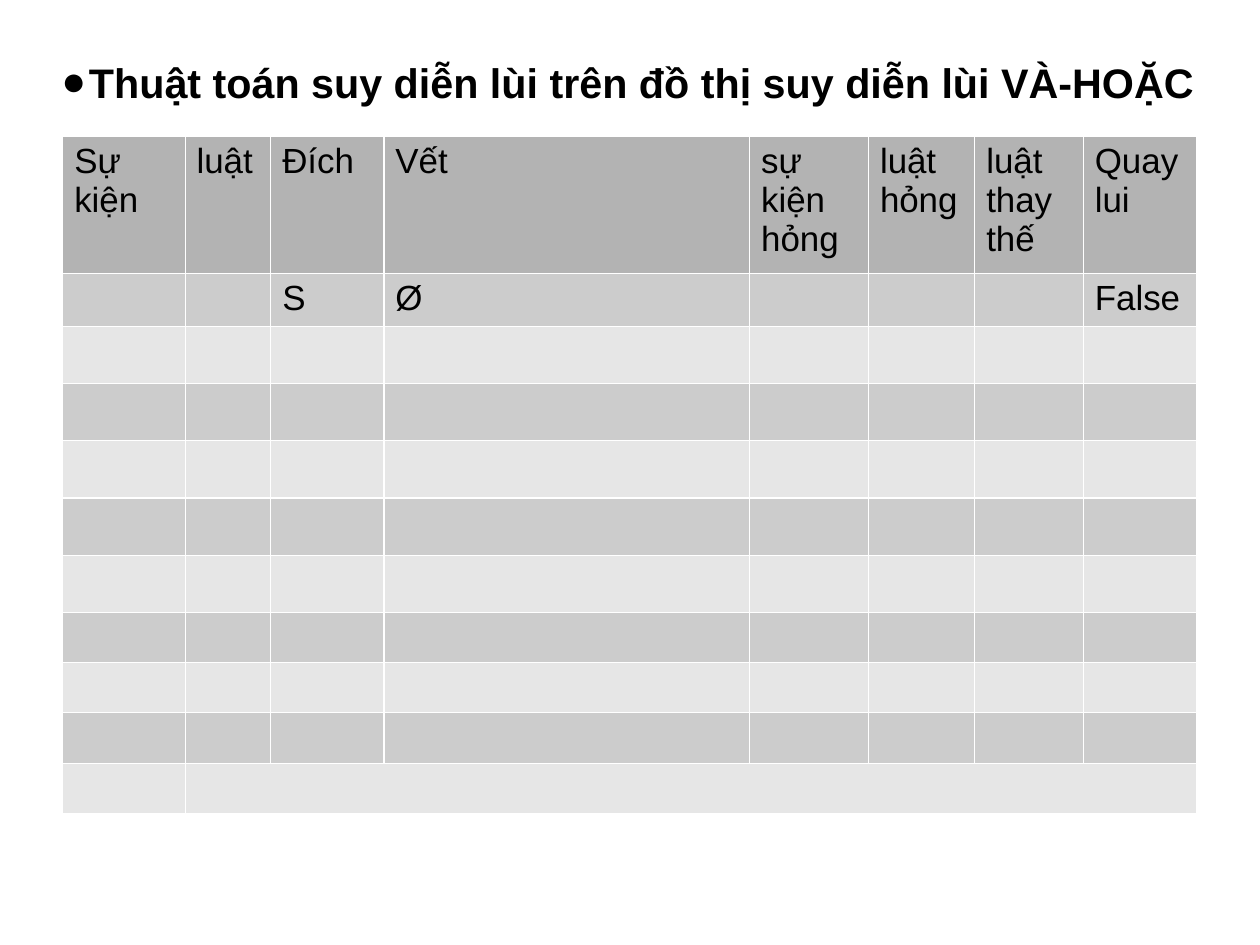
from lxml import etree
from pptx import Presentation
from pptx.dml.color import RGBColor
from pptx.enum.text import MSO_ANCHOR, PP_ALIGN
from pptx.oxml.ns import qn
from pptx.util import Inches, Pt

MID = MSO_ANCHOR.MIDDLE
LEFT, CENTER = PP_ALIGN.LEFT, PP_ALIGN.CENTER
HUES = {"ink": "000000", "head": "B3B3B3", "dark": "CCCCCC",
        "light": "E6E6E6", "rule": "FFFFFF"}
WIDE, HIGH = 28 / 2.54, 21 / 2.54
COLS = [1.07, 0.75, 0.99, 3.2, 1.04, 0.93, 0.95, 0.99]
ROWS = [1.14, 0.46] + [0.5] * 5 + [0.44] * 4
HEADS = ["Sự kiện", "luật", "Đích", "Vết", "sự kiện hỏng",
         "luật hỏng", "luật thay thế", "Quay lui"]
START = ["", "", "S", "Ø", "", "", "", "False"]


def color(name):
    return RGBColor.from_string(HUES[name])


def add_hue(parent, name):
    etree.SubElement(parent, qn("a:srgbClr"), val=HUES[name])


def write(frame, text, size=22, bold=False, align=LEFT):
    frame.word_wrap = True
    para = frame.paragraphs[0]
    para.alignment = align
    run = para.add_run()
    run.text = text
    font = run.font
    font.name, font.size, font.bold = "Arial", Pt(size), bold
    font.color.rgb = color("ink")
    return para


def add_bullet(para, indent):
    props = para._p.get_or_add_pPr()
    props.set("marL", str(Inches(indent)))
    props.set("indent", str(Inches(-indent)))
    add_hue(etree.SubElement(props, qn("a:buClr")), "ink")
    etree.SubElement(props, qn("a:buFont"), typeface="Arial")
    etree.SubElement(props, qn("a:buChar"), char="●")


def add_title(slide, left, top, width, height):
    box = slide.shapes.add_textbox(
        Inches(left), Inches(top), Inches(width), Inches(height))
    frame = box.text_frame
    frame.margin_left = frame.margin_right = 0
    frame.margin_top = frame.margin_bottom = 0
    frame.vertical_anchor = MID
    para = write(frame, "Thuật toán suy diễn lùi trên đồ thị suy diễn lùi VÀ-HOẶC",
                 size=26, bold=True, align=CENTER)
    add_bullet(para, 0.24)


def style_cell(cell, fill):
    props = cell._tc.get_or_add_tcPr()
    for side in ("L", "R", "T", "B"):
        line = etree.SubElement(props, qn("a:ln" + side), w=str(Pt(0.75)))
        add_hue(etree.SubElement(line, qn("a:solidFill")), "rule")
    cell.fill.solid()
    cell.fill.fore_color.rgb = color(fill)


def add_trace(slide, left, top, width, height):
    table = slide.shapes.add_table(
        len(ROWS), len(COLS), Inches(left), Inches(top),
        Inches(width), Inches(height)).table
    table.first_row = table.horz_banding = False
    for col, size in zip(table.columns, COLS):
        col.width = Inches(size)
    for row, size in zip(table.rows, ROWS):
        row.height = Inches(size)
    for r in range(len(ROWS)):
        fill = "head" if r == 0 else "dark" if r % 2 else "light"
        for c in range(len(COLS)):
            style_cell(table.cell(r, c), fill)
    for r, texts in enumerate([HEADS, START]):
        for c, text in enumerate(texts):
            if text:
                write(table.cell(r, c).text_frame, text)
    last = len(ROWS) - 1
    table.cell(last, 1).merge(table.cell(last, len(COLS) - 1))


def main():
    deck = Presentation()
    deck.slide_width, deck.slide_height = Inches(WIDE), Inches(HIGH)
    slide = deck.slides.add_slide(deck.slide_layouts[6])
    add_title(slide, 0.4, 0.31, 10.2, 0.81)
    add_trace(slide, 0.55, 1.19, sum(COLS), sum(ROWS))
    deck.save("out.pptx")


if __name__ == "__main__":
    main()
